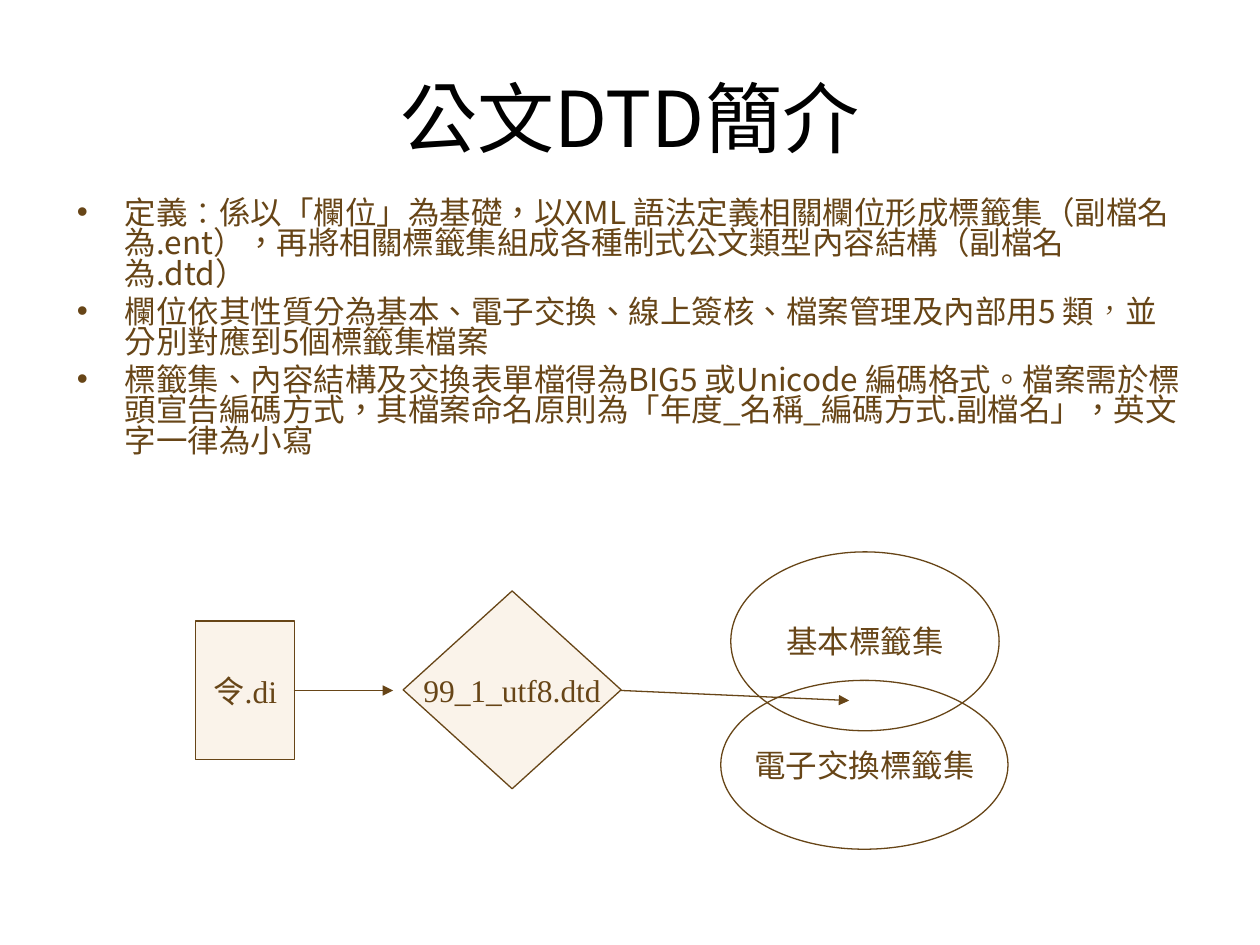
from dataclasses import dataclass
from typing import Optional

from lxml import etree
from pptx import Presentation
from pptx import util as u
from pptx.dml.color import RGBColor
from pptx.enum import lang, shapes, text
from pptx.oxml import ns

COLORS = {"title": "000000", "brown": "674517", "cream": "FAF3EA"}
SANS, SERIF = "Noto Sans CJK SC", "Times New Roman"
COLUMNS, ROWS = 100, 75
AXIS_ROW = 54.8

presentation = Presentation()
presentation.slide_width, presentation.slide_height = u.Inches(10), u.Inches(7.5)


@dataclass
class Box:
    left: float
    top: float
    width: float
    height: float


@dataclass
class Node:
    kind: shapes.MSO_SHAPE
    label: str
    box: Box
    fill: Optional[str] = None


@dataclass
class Arrow:
    start: tuple[float, float]
    end: tuple[float, float]


TITLE_BOX = Box(5, 3, 90, 12.5)
BODY_BOX = Box(5.1, 15.4, 90, 22.4)
BULLETS = [
    [
        ("定義", SANS),
        ("：", SERIF),
        ("係以「欄位」為基礎，以XML 語法定義相關欄位形成標籤集（副檔名為.ent），"
         "再將相關標籤集組成各種制式公文類型內容結構（副檔名為.dtd）", SANS),
    ],
    [
        ("欄位依其性質分為基本、電子交換、線上簽核、檔案管理及內部用5 類", SANS),
        ("，", SERIF),
        ("並分別對應到5個標籤集檔案", SANS),
    ],
    [
        ("標籤集、內容結構及交換表單檔得為BIG5 或Unicode 編碼格式。檔案需於標頭宣告編碼方式，"
         "其檔案命名原則為「年度_名稱_編碼方式.副檔名」，英文字一律為小寫", SANS),
    ],
]
NODES = [
    Node(shapes.MSO_SHAPE.OVAL, "基本標籤集", Box(58, 43.8, 21.3, 14.2)),
    Node(shapes.MSO_SHAPE.OVAL, "電子交換標籤集", Box(57.2, 54, 22.8, 13.4)),
    Node(shapes.MSO_SHAPE.RECTANGLE, "令.di", Box(15.5, 49.3, 7.9, 11), "cream"),
    Node(shapes.MSO_SHAPE.DIAMOND, "99_1_utf8.dtd", Box(32, 46.9, 17.3, 15.7), "cream"),
]
ARROWS = [
    Arrow((23.3, AXIS_ROW), (31.2, AXIS_ROW)),
    Arrow((49.3, AXIS_ROW), (67.4, 55.6)),
]


def across(columns: float) -> int:
    return round(presentation.slide_width * columns / COLUMNS)


def down(rows: float) -> int:
    return round(presentation.slide_height * rows / ROWS)


def bounds(box: Box) -> tuple[int, int, int, int]:
    return across(box.left), down(box.top), across(box.width), down(box.height)


def place(shape, box: Box) -> None:
    shape.left, shape.top, shape.width, shape.height = bounds(box)


def rgb(name: str) -> RGBColor:
    return RGBColor.from_string(COLORS[name])


def format_run(run, size: float, font: str, color: str, asian: str) -> None:
    run.font.size = u.Pt(size)
    run.font.name = font
    run.font.color.rgb = rgb(color)
    run.font.language_id = lang.MSO_LANGUAGE_ID.TRADITIONAL_CHINESE
    latin = run.font._element.find(ns.qn("a:latin"))
    east_asian = etree.Element(ns.qn("a:ea"), typeface=asian)
    latin.addnext(east_asian)


def add_bullet(paragraph) -> None:
    properties = paragraph._p.get_or_add_pPr()
    indent = u.Inches(0.38)
    properties.set("marL", str(indent))
    properties.set("indent", str(-indent))
    color = etree.SubElement(properties, ns.qn("a:buClr"))
    etree.SubElement(color, ns.qn("a:srgbClr"), val=COLORS["brown"])
    etree.SubElement(properties, ns.qn("a:buChar"), char="•")


def fill_title(shape) -> None:
    place(shape, TITLE_BOX)
    frame = shape.text_frame
    frame.text = "公文DTD簡介"
    frame.auto_size = text.MSO_AUTO_SIZE.NONE
    frame.vertical_anchor = text.MSO_ANCHOR.MIDDLE
    paragraph = frame.paragraphs[0]
    paragraph.alignment = text.PP_ALIGN.CENTER
    format_run(paragraph.runs[0], 44, SANS, "title", SANS)


def fill_body(shape) -> None:
    place(shape, BODY_BOX)
    frame = shape.text_frame
    frame.auto_size = text.MSO_AUTO_SIZE.NONE
    for index, pieces in enumerate(BULLETS):
        paragraph = frame.add_paragraph() if index else frame.paragraphs[0]
        add_bullet(paragraph)
        paragraph.line_spacing = 0.8
        paragraph.space_before = u.Pt(4.5 if index else 0)
        for words, font in pieces:
            run = paragraph.add_run()
            run.text = words
            format_run(run, 18, font, "brown", font)


def draw_line(line) -> None:
    line.color.rgb = rgb("brown")
    line.width = u.Pt(0.75)


def draw_node(slide, node: Node) -> None:
    shape = slide.shapes.add_shape(node.kind, *bounds(node.box))
    shape.shadow.inherit = False
    if node.fill:
        shape.fill.solid()
        shape.fill.fore_color.rgb = rgb(node.fill)
    else:
        shape.fill.background()
    draw_line(shape.line)
    frame = shape.text_frame
    frame.text = node.label
    frame.word_wrap = False
    frame.vertical_anchor = text.MSO_ANCHOR.MIDDLE
    paragraph = frame.paragraphs[0]
    paragraph.alignment = text.PP_ALIGN.CENTER
    format_run(paragraph.runs[0], 18, SERIF, "brown", SANS)


def draw_arrow(slide, arrow: Arrow) -> None:
    (start_x, start_y), (end_x, end_y) = arrow.start, arrow.end
    connector = slide.shapes.add_connector(
        shapes.MSO_CONNECTOR.STRAIGHT,
        across(start_x), down(start_y), across(end_x), down(end_y),
    )
    draw_line(connector.line)
    properties = connector._element.spPr
    outline = properties.find(ns.qn("a:ln"))
    etree.SubElement(outline, ns.qn("a:tailEnd"), type="triangle")
    etree.SubElement(properties, ns.qn("a:effectLst"))


def main() -> None:
    slide = presentation.slides.add_slide(presentation.slide_layouts[1])
    fill_title(slide.shapes.title)
    fill_body(slide.placeholders[1])
    for node in NODES:
        draw_node(slide, node)
    for arrow in ARROWS:
        draw_arrow(slide, arrow)
    presentation.save("out.pptx")


if __name__ == "__main__":
    main()
